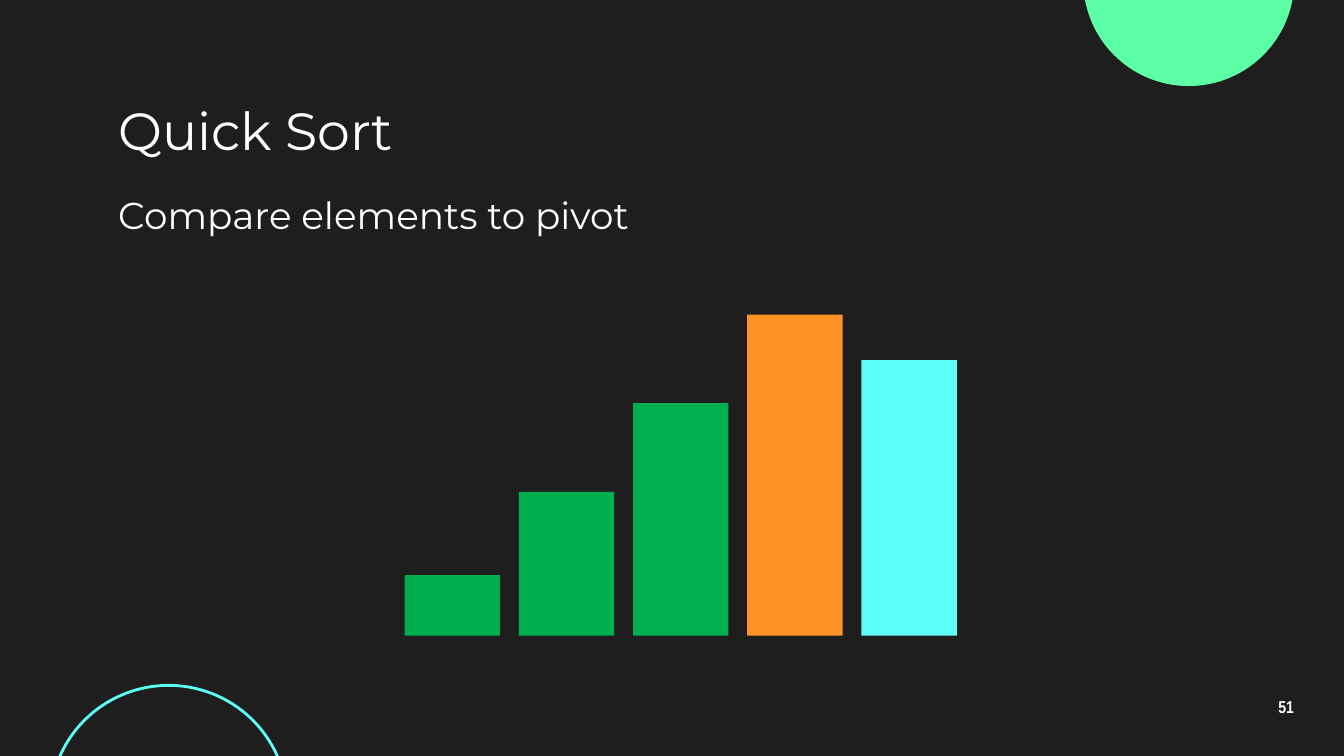
from pptx import Presentation
from pptx.dml.color import RGBColor
from pptx.enum.shapes import MSO_SHAPE
from pptx.enum.text import MSO_ANCHOR, MSO_AUTO_SIZE, PP_ALIGN
from pptx.util import Inches, Pt

DARK = RGBColor(0x1E, 0x1E, 0x1E)
WHITE = RGBColor(0xFF, 0xFF, 0xFF)
MINT = RGBColor(0x5C, 0xFF, 0xA6)
CYAN = RGBColor(0x5C, 0xFF, 0xF8)
GREEN = RGBColor(0x00, 0xAE, 0x4F)
BRIGHT_GREEN = RGBColor(0x00, 0xB0, 0x50)
ORANGE = RGBColor(0xFF, 0x92, 0x25)


def add_plain_shape(kind, left, top, width, height, fill=None, line=None):
    shape = page.shapes.add_shape(
        kind, Inches(left), Inches(top), Inches(width), Inches(height))
    shape.shadow.inherit = False
    if fill is None:
        shape.fill.background()
    else:
        shape.fill.solid()
        shape.fill.fore_color.rgb = fill
    if line is None:
        shape.line.fill.background()
    else:
        shape.line.color.rgb = line
        shape.line.width = Pt(1.5)


def write_text(box, left, top, width, height, text, size, font="Montserrat",
               bold=False, align=PP_ALIGN.LEFT, anchor=MSO_ANCHOR.MIDDLE):
    box.left, box.top = Inches(left), Inches(top)
    box.width, box.height = Inches(width), Inches(height)
    frame = box.text_frame
    frame.word_wrap = True
    frame.auto_size = MSO_AUTO_SIZE.NONE
    frame.vertical_anchor = anchor
    frame.margin_left = frame.margin_right = Inches(0.1)
    frame.margin_top = frame.margin_bottom = Inches(0.1)
    frame.text = text
    paragraph = frame.paragraphs[0]
    paragraph.alignment = align
    paragraph.space_before = Pt(0)
    paragraph.font.name = font
    paragraph.font.size = Pt(size)
    paragraph.font.bold = bold
    paragraph.font.color.rgb = WHITE
    return paragraph


deck = Presentation()
deck.slide_width = Inches(10)
deck.slide_height = Inches(10) * 9 // 16
page = deck.slides.add_slide(deck.slide_layouts[5])
page.background.fill.solid()
page.background.fill.fore_color.rgb = DARK

add_plain_shape(MSO_SHAPE.OVAL, 8.06, -0.93, 1.57, 1.57, fill=MINT)
add_plain_shape(MSO_SHAPE.OVAL, 0.37, 5.1, 1.77, 1.77, line=CYAN)

write_text(page.shapes.title, 0.78, 0.71, 8.44, 0.51, "Quick Sort", 28)
subtitle = page.shapes.add_textbox(0, 0, 0, 0)
write_text(subtitle, 0.78, 1.33, 6.49, 0.58, "Compare elements to pivot", 20,
           anchor=MSO_ANCHOR.TOP)
page_number = page.shapes.add_textbox(0, 0, 0, 0)
number_paragraph = write_text(page_number, 9.27, 5.1, 0.6, 0.34, "51", 9.2,
                              font="Arial Narrow", bold=True,
                              align=PP_ALIGN.CENTER)
number_paragraph.line_spacing = 0.9

first_left, bar_step, bar_width, baseline = 3.01, 0.85, 0.71, 4.73
bars = [(0.45, GREEN), (1.07, GREEN), (1.73, BRIGHT_GREEN),
        (2.39, ORANGE), (2.05, CYAN)]
for index, (height, color) in enumerate(bars):
    add_plain_shape(MSO_SHAPE.RECTANGLE, first_left + index * bar_step,
                    baseline - height, bar_width, height, fill=color)

deck.save("out.pptx")
